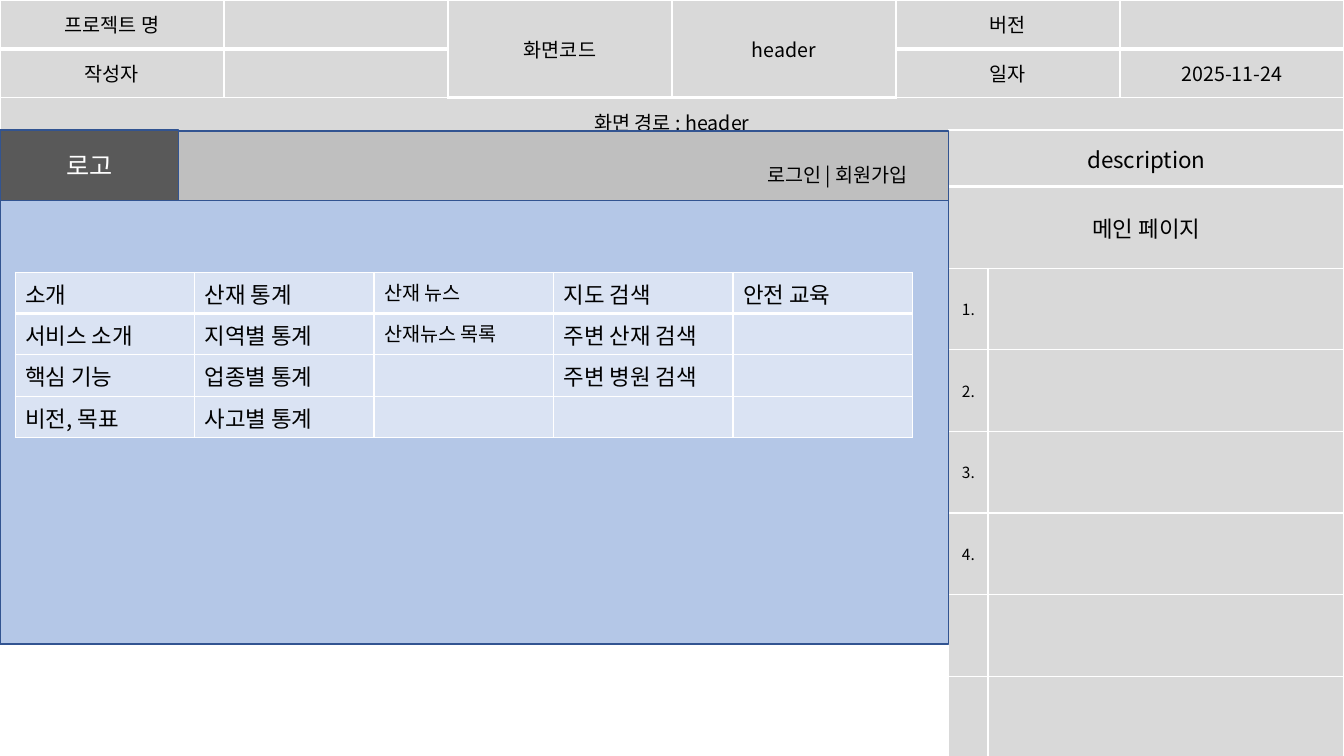
from dataclasses import dataclass, field

import pptx
import pptx.dml.color
import pptx.enum.shapes
import pptx.enum.text
import pptx.oxml.ns
import pptx.util
from lxml import etree

Inches, Pt = pptx.util.Inches, pptx.util.Pt
Align, Anchor = pptx.enum.text.PP_ALIGN, pptx.enum.text.MSO_ANCHOR
qn = pptx.oxml.ns.qn
FONT = "Noto Sans CJK KR"
BLACK, WHITE, GRAY = "000000", "FFFFFF", "D9D9D9"


@dataclass
class Box:
    x: float
    y: float
    w: float
    h: float
    fill: str
    text: str = ""


@dataclass
class Grid:
    x: float
    y: float
    cols: list[float]
    rows: list[float]
    text: list[list[str]]
    fill: str
    size: float
    align: Align
    anchor: Anchor
    pad: float | None = None
    spans: list[tuple[int, int, int, int]] = field(default_factory=list)
    sizes: dict[tuple[int, int], float] = field(default_factory=dict)


def color(code: str) -> pptx.dml.color.RGBColor:
    return pptx.dml.color.RGBColor.from_string(code)


def write(frame, text: str, size: float, tint: str, align: Align) -> None:
    frame.text = text
    para = frame.paragraphs[0]
    para.alignment = align
    font = para.font
    font.size, font.name = Pt(size), FONT
    font.color.rgb = color(tint)
    props = para._p.get_or_add_pPr().find(qn("a:defRPr"))
    etree.SubElement(props, qn("a:ea"), typeface=FONT)
    if not text:
        etree.SubElement(para._p, qn("a:endParaRPr"), sz=str(size * 100))


def edge(cell, head: bool) -> None:
    """Give a cell white borders, with a thick lower one in the top row."""
    props = cell._tc.get_or_add_tcPr()
    for i, side in enumerate("LRTB"):
        width = Pt(3 if head and side == "B" else 1)
        line = etree.Element(qn(f"a:ln{side}"), w=str(width))
        fill = etree.SubElement(line, qn("a:solidFill"))
        etree.SubElement(fill, qn("a:srgbClr"), val=WHITE)
        props.insert(i, line)


def draw_grid(slide, grid: Grid) -> None:
    frame = slide.shapes.add_table(
        len(grid.rows), len(grid.cols), Inches(grid.x), Inches(grid.y),
        Inches(sum(grid.cols)), Inches(sum(grid.rows)))
    table = frame.table
    table.first_row = table.horz_banding = False
    for col, width in zip(table.columns, grid.cols):
        col.width = Inches(width)
    for row, height in zip(table.rows, grid.rows):
        row.height = Inches(height)
    for r, texts in enumerate(grid.text):
        for c, text in enumerate(texts):
            cell = table.cell(r, c)
            size = grid.sizes.get((r, c), grid.size)
            write(cell.text_frame, text, size, BLACK, grid.align)
            cell.vertical_anchor = grid.anchor
            if grid.pad is not None:
                cell.margin_left = cell.margin_right = Inches(grid.pad)
                cell.margin_top = cell.margin_bottom = Inches(grid.pad)
            cell.fill.solid()
            cell.fill.fore_color.rgb = color(grid.fill)
            edge(cell, r == 0)
    for top, left, low, right in grid.spans:
        table.cell(top, left).merge(table.cell(low, right))
    for r, c in ((s[0], s[1]) for s in grid.spans if s[0] == 0):
        table.cell(r, c).vertical_anchor = Anchor.MIDDLE


def draw_box(slide, box: Box) -> None:
    shape = slide.shapes.add_shape(
        pptx.enum.shapes.MSO_SHAPE.RECTANGLE,
        Inches(box.x), Inches(box.y), Inches(box.w), Inches(box.h))
    shape.shadow.inherit = False
    shape.fill.solid()
    shape.fill.fore_color.rgb = color(box.fill)
    shape.line.color.rgb = color("325491")
    shape.line.width = Pt(1)
    if box.text:
        write(shape.text_frame, box.text, 18, WHITE, Align.CENTER)
        shape.text_frame.vertical_anchor = Anchor.MIDDLE


HEADER = Grid(
    0, 0, [13.33 / 6] * 6, [0.43] * 3,
    [["프로젝트 명", "", "화면코드", "header", "버전", ""],
     ["작성자", "", "", "", "일자", "2025-11-24"],
     ["화면 경로 : header", "", "", "", "", ""]],
    GRAY, 14, Align.CENTER, Anchor.TOP, 0.1,
    [(0, 2, 1, 2), (0, 3, 1, 3), (2, 0, 2, 5)])

NOTES = Grid(
    9.41, 1.29, [0.39, 3.53], [0.56] + [0.81] * 7,
    [["description", ""], ["메인 페이지", ""]]
    + [[mark, ""] for mark in ("1.", "2.", "3.", "4.", "", "")],
    GRAY, 11, Align.CENTER, Anchor.MIDDLE,
    spans=[(0, 0, 0, 1), (1, 0, 1, 1)], sizes={(0, 0): 16, (1, 0): 16})

MENU = Grid(
    0.15, 2.7, [1.78] * 5, [0.41] * 4,
    [["소개", "산재 통계", "산재 뉴스", "지도 검색", "안전 교육"],
     ["서비스 소개", "지역별 통계", "산재뉴스 목록", "주변 산재 검색", ""],
     ["핵심 기능", "업종별 통계", "", "주변 병원 검색", ""],
     ["비전, 목표", "사고별 통계", "", "", ""]],
    "DAE3F3", 16, Align.LEFT, Anchor.TOP, sizes={(0, 2): 14, (1, 2): 14})

BOXES = [
    Box(1.77, 1.3, 7.64, 0.7, "BFBFBF"),
    Box(0, 1.29, 1.77, 0.7, "595959", "로고"),
    Box(0, 1.99, 9.41, 4.4, "B4C7E7"),
]


def main() -> None:
    deck = pptx.Presentation()
    deck.slide_width, deck.slide_height = Inches(13.33), Inches(7.5)
    slide = deck.slides.add_slide(deck.slide_layouts[6])
    draw_grid(slide, HEADER)
    draw_grid(slide, NOTES)
    for box in BOXES:
        draw_box(slide, box)
    login = slide.shapes.add_textbox(
        Inches(7.51), Inches(1.57), Inches(1.77), Inches(0.34)).text_frame
    login.word_wrap = True
    write(login, "로그인 | 회원가입", 14, BLACK, Align.LEFT)
    draw_grid(slide, MENU)
    deck.save("out.pptx")


if __name__ == "__main__":
    main()
